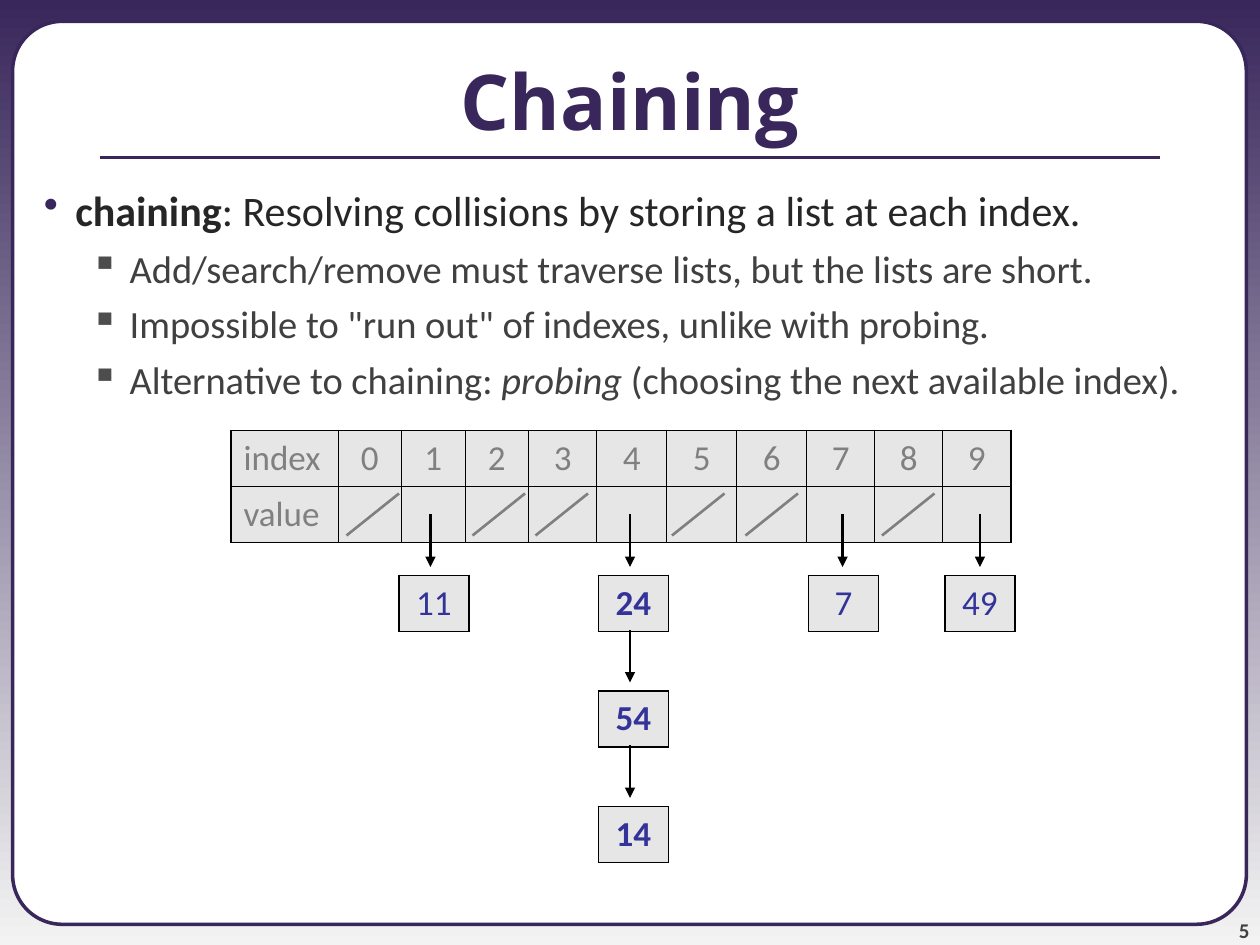
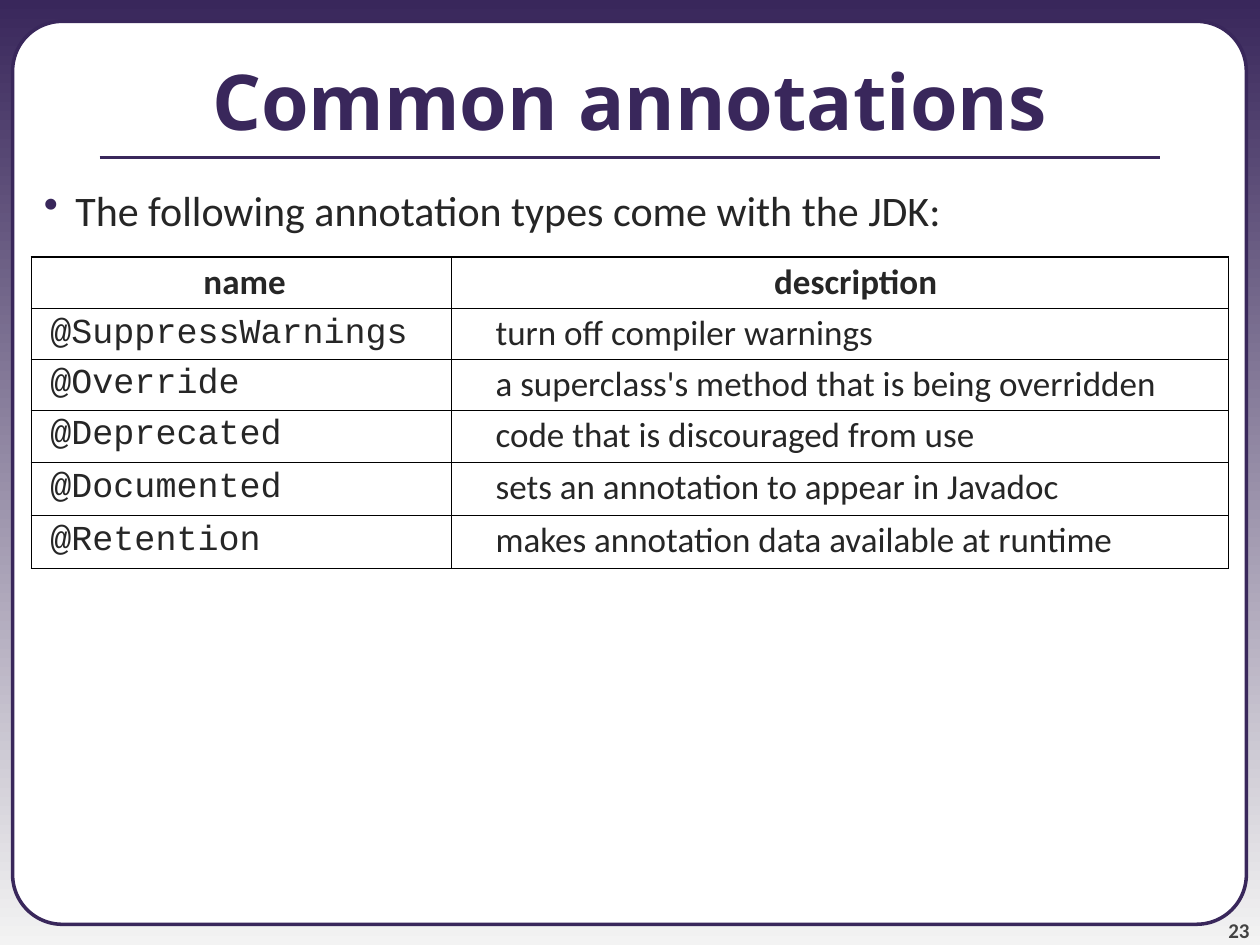
import pptx
import pptx.dml.color
import pptx.enum.shapes
import pptx.enum.text
import pptx.oxml
import pptx.oxml.ns
import pptx.util

Pt = pptx.util.Pt
RGB = pptx.dml.color.RGBColor
Align = pptx.enum.text.PP_ALIGN
Anchor = pptx.enum.text.MSO_ANCHOR

PURPLE = RGB(0x39, 0x27, 0x5B)
PALE = RGB(0xF3, 0xF3, 0xF3)
WHITE = RGB(0xFF, 0xFF, 0xFF)
BLACK = RGB(0, 0, 0)
INK = RGB(0x26, 0x26, 0x26)
SOFT = RGB(0x40, 0x40, 0x40)
MARK = RGB(0x4D, 0x4D, 0x4D)
FOOT = RGB(0x42, 0x42, 0x42)
GREY = RGB(0x80, 0x80, 0x80)
CELL = RGB(0xE6, 0xE6, 0xE6)
BLUE = RGB(0x33, 0x33, 0x99)

BODY, HEAD, CODE = "Calibri", "Open Sans", "Courier New"
WIDE, HIGH = 720, 540

# Each point is a level and its runs; a run is text and a style: "", "b" or "i".
CHAIN_POINTS = [
    (0, [("chaining", "b"), (": Resolving collisions by storing a list at each index.", "")]),
    (1, [("Add/search/remove must traverse lists, but the lists are short.", "")]),
    (1, [('Impossible to "run out" of indexes, unlike with probing.', "")]),
    (1, [("Alternative to chaining: ", ""), ("probing ", "i"),
         ("(choosing the next available index).", "")]),
]
SLOT_WIDTHS = [61.2] + [36.3] * 3 + [38.9] + [40] * 3 + [38.9] * 3
# Left edge of the boxes, centre of the arrows, values from the top down
CHAINS = [
    (228, 246, ["11"]),
    (342, 360, ["24", "54", "14"]),
    (462, 481.5, ["7"]),
    (540, 560, ["49"]),
]
EMPTY_SLOTS = [198, 270, 306, 384, 426, 504]

NOTE_POINTS = [(0, [("The following annotation types come with the JDK:", "")])]
NOTES = [
    ("name", "description"),
    ("@SuppressWarnings", "turn off compiler warnings"),
    ("@Override", "a superclass's method that is being overridden"),
    ("@Deprecated", "code that is discouraged from use"),
    ("@Documented", "sets an annotation to appear in Javadoc"),
    ("@Retention", "makes annotation data available at runtime"),
]

# Text size, colour, bullet, bullet colour, left margin, hanging indent, space before
LEVELS = [
    (24, INK, "•", PURPLE, 36, -18, 6),
    (22, SOFT, "▪", MARK, 67, -22.3, 5.5),
]


def add_run(para, text, size, color, face=BODY, style=""):
    run = para.add_run()
    run.text = text
    font = run.font
    font.name, font.size, font.color.rgb = face, Pt(size), color
    font.bold, font.italic = style == "b", style == "i"


def add_node(parent, xml):
    """Append an element given as 'tag attributes' plus its inner XML."""
    tag = xml.split(">")[0].split()[0].strip("</")
    space = pptx.oxml.ns.nsdecls("a")
    node = pptx.oxml.parse_xml(xml.replace(tag, f"{tag} {space}", 1))
    parent.append(node)


def add_line(slide, start, end, color, width, arrow=False):
    line = slide.shapes.add_connector(
        pptx.enum.shapes.MSO_CONNECTOR.STRAIGHT, *map(Pt, start + end))
    line.line.color.rgb = color
    line.line.width = Pt(width)
    if arrow:
        add_node(line.line._get_or_add_ln(), '<a:tailEnd type="triangle"/>')
    add_node(line.element.spPr, "<a:effectLst/>")


def add_box(slide, left, top, width, height, inset=(7.2, 3.6)):
    box = slide.shapes.add_textbox(Pt(left), Pt(top), Pt(width), Pt(height))
    frame = box.text_frame
    frame.word_wrap = True
    frame.margin_left = frame.margin_right = Pt(inset[0])
    frame.margin_top = frame.margin_bottom = Pt(inset[1])
    return frame


def add_points(slide, points):
    frame = add_box(slide, 0, 102, WIDE, 438)
    for num, (level, runs) in enumerate(points):
        size, color, mark, tint, margin, hang, gap = LEVELS[level]
        para = frame.add_paragraph() if num else frame.paragraphs[0]
        para.level = level
        if num:
            para.space_before = Pt(gap)
        props = para._p.get_or_add_pPr()
        props.set("marL", str(Pt(margin)))
        props.set("indent", str(Pt(hang)))
        add_node(props, f'<a:buClr><a:srgbClr val="{tint}"/></a:buClr>')
        add_node(props, f'<a:buChar char="{mark}"/>')
        for text, style in runs:
            add_run(para, text, size, color, style=style)


def add_edges(cell, widths):
    props = cell._tc.get_or_add_tcPr()
    for side, width in zip("LRTB", widths):
        add_node(props, f'<a:ln{side} w="{Pt(width)}"><a:solidFill>'
                        f'<a:srgbClr val="{BLACK}"/></a:solidFill></a:ln{side}>')


def add_grid(slide, left, top, widths, heights, rows, fill, look):
    """Draw a table; look(row, col) gives alignment, indent, spacing and run style."""
    frame = slide.shapes.add_table(len(heights), len(widths), Pt(left), Pt(top),
                                   Pt(sum(widths)), Pt(sum(heights)))
    grid = frame.table
    grid.first_row = grid.horz_banding = False
    for col, width in zip(grid.columns, widths):
        col.width = Pt(width)
    for row, height in zip(grid.rows, heights):
        row.height = Pt(height)
    for r, texts in enumerate(rows):
        for c, text in enumerate(texts):
            cell = grid.cell(r, c)
            outer = (c == 0, c == len(widths) - 1, r == 0, r == len(heights) - 1)
            add_edges(cell, [1.08 if edge else 0.45 for edge in outer])
            if fill is None:
                cell.fill.background()
            else:
                cell.fill.solid()
                cell.fill.fore_color.rgb = fill
            if text:
                align, indent, spacing, color, face, style = look(r, c)
                para = cell.text_frame.paragraphs[0]
                para.alignment, para.line_spacing = align, spacing
                para._p.get_or_add_pPr().set("marL", str(Pt(indent)))
                add_run(para, text, 20, color, face, style)


def add_page(deck, title, number):
    """Add a slide with the shared background, panel, title, rule and number."""
    slide = deck.slides.add_slide(deck.slide_layouts[5])
    back = slide.background.fill
    back.gradient()
    back.gradient_angle = 270
    for stop, color in zip(back.gradient_stops, (PURPLE, PALE)):
        stop.color.rgb = color

    panel = slide.shapes.add_shape(pptx.enum.shapes.MSO_SHAPE.ROUNDED_RECTANGLE,
                                   Pt(7.2), Pt(12.2), Pt(705), Pt(516))
    panel.adjustments[0] = 0.055
    panel.shadow.inherit = False
    panel.fill.solid()
    panel.fill.fore_color.rgb = WHITE
    panel.line.color.rgb = PURPLE
    panel.line.width = Pt(2)
    panel.element.getparent().insert(2, panel.element)

    head = slide.shapes.title
    head.left, head.top, head.width, head.height = map(Pt, (0, 12, WIDE, 90))
    head.text_frame.vertical_anchor = Anchor.MIDDLE
    para = head.text_frame.paragraphs[0]
    para.alignment = Align.CENTER
    add_run(para, title, 44, PURPLE, HEAD, "b")
    add_line(slide, (57, 90), (663, 90), PURPLE, 2.25)

    foot = add_box(slide, 654, 510, 60, 28.5, (0, 0))
    foot.vertical_anchor = Anchor.BOTTOM
    foot.paragraphs[0].alignment = Align.RIGHT
    add_run(foot.paragraphs[0], str(number), 12, FOOT, style="b")
    return slide


def draw_chains(deck):
    slide = add_page(deck, "Chaining", 5)
    add_points(slide, CHAIN_POINTS)
    rows = [["index"] + [str(n) for n in range(10)], ["value"] + [""] * 10]
    add_grid(slide, 132, 246, SLOT_WIDTHS, [32, 32], rows, CELL,
             lambda r, c: (Align.CENTER if c else Align.LEFT, 0, 1, GREY, BODY, ""))
    for left, mid, values in CHAINS:
        style = "b" if len(values) > 1 else ""
        for step, value in enumerate(values):
            drop = 66 * step
            add_grid(slide, left, 328.8 + drop, [40], [32], [[value]], CELL,
                     lambda r, c: (Align.CENTER, 0, 1, BLUE, BODY, style))
            add_line(slide, (mid, 294 + drop), (mid, 324 + drop), BLACK, 1.5, True)
    for left in EMPTY_SLOTS:
        add_line(slide, (left + 30, 282), (left, 306), GREY, 1.5)


def note_look(row, col):
    align = Align.LEFT if row else Align.CENTER
    face = CODE if row and col == 0 else BODY
    return align, 18 if col else 3.6, 0.9, INK, face, "" if row else "b"


def draw_notes(deck):
    slide = add_page(deck, "Common annotations", 23)
    add_points(slide, NOTE_POINTS)
    add_grid(slide, 18, 147, [240, 444], [29.1] * 3 + [30.2] * 3, NOTES, None, note_look)


def main():
    deck = pptx.Presentation()
    deck.slide_width, deck.slide_height = Pt(WIDE), Pt(HIGH)
    draw_chains(deck)
    draw_notes(deck)
    deck.save("out.pptx")


if __name__ == "__main__":
    main()
